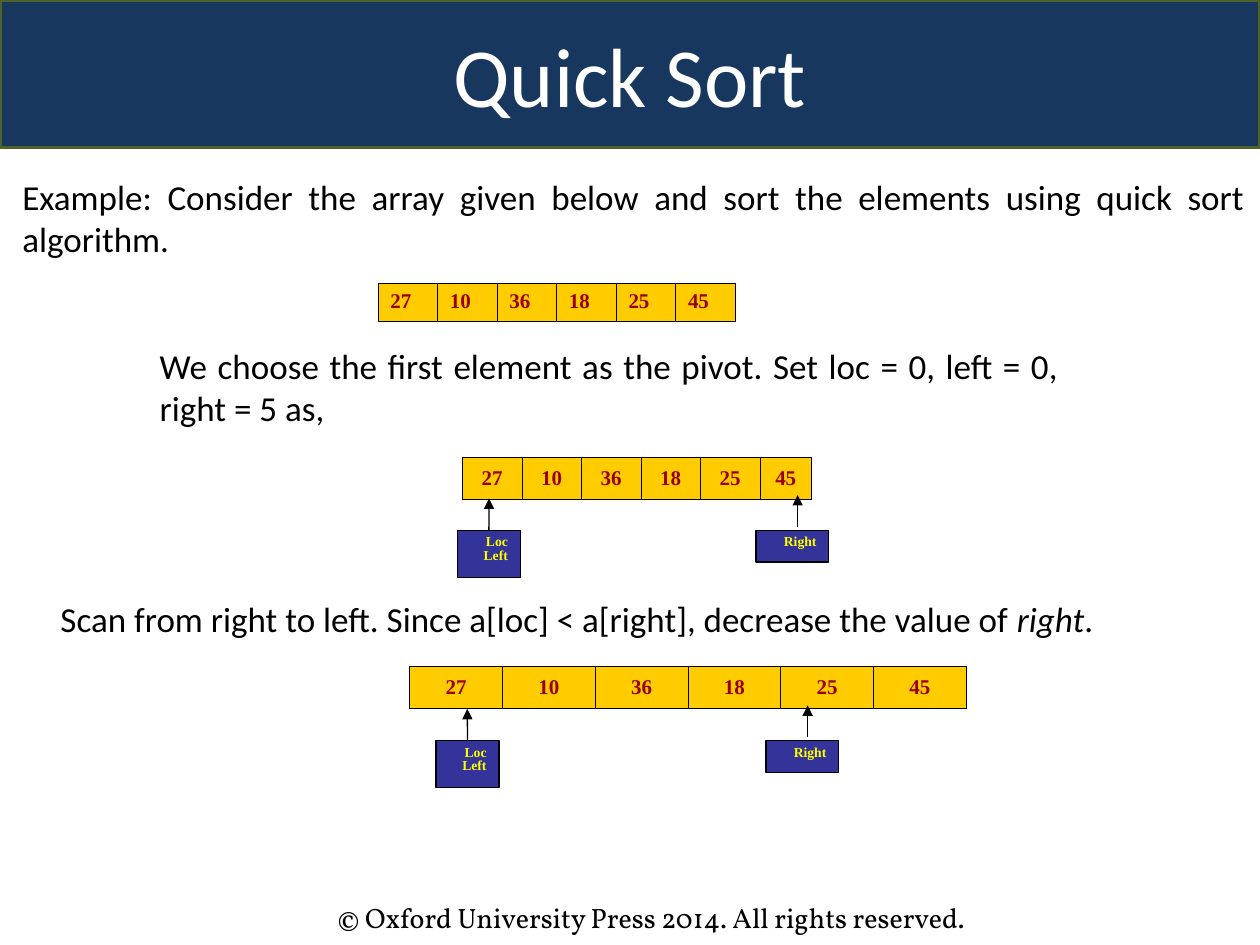
from lxml import etree
from pptx import Presentation
from pptx.dml.color import RGBColor
from pptx.enum.shapes import MSO_CONNECTOR, MSO_SHAPE
from pptx.enum.text import MSO_ANCHOR, MSO_AUTO_SIZE, PP_ALIGN
from pptx.oxml import parse_xml
from pptx.oxml.ns import nsdecls, qn
from pptx.util import Cm, Pt

LEFT, CENTER, RIGHT, JUSTIFY = PP_ALIGN.LEFT, PP_ALIGN.CENTER, PP_ALIGN.RIGHT, PP_ALIGN.JUSTIFY
TOP, MIDDLE = MSO_ANCHOR.TOP, MSO_ANCHOR.MIDDLE
RECTANGLE, STRAIGHT = MSO_SHAPE.RECTANGLE, MSO_CONNECTOR.STRAIGHT
NO_AUTOFIT = MSO_AUTO_SIZE.NONE

TITLE = {"name": "Calibri", "size": Pt(48)}
PROSE = {"name": "Calibri", "size": Pt(20)}
COPYRIGHT = {"name": "Vollkorn", "size": Pt(16)}
ELEMENT = {"name": "Times New Roman", "size": Pt(12), "bold": True}
MARKER = {"name": "Times New Roman", "size": Pt(7.8), "bold": True}


def rgb(value):
    return RGBColor.from_string(value)


def write(paragraph, text, font_format, color, align):
    paragraph.alignment = align
    run = paragraph.add_run()
    run.text = text
    for attribute, value in font_format.items():
        setattr(run.font, attribute, value)
    run.font.color.rgb = rgb(color)


presentation = Presentation()
presentation.slide_width, presentation.slide_height = Cm(25.4), Cm(19.05)
slide = presentation.slides.add_slide(presentation.slide_layouts[5])
shapes = slide.shapes

title = shapes.title
title.left, title.top, title.width, title.height = Cm(0), Cm(0), Cm(25.4), Cm(2.97)
title.fill.solid()
title.fill.fore_color.rgb = rgb("17375E")
title.line.color.rgb = rgb("4F6228")
title.line.width = Pt(2)
title.text_frame.auto_size = NO_AUTOFIT
title.text_frame.vertical_anchor = MIDDLE
write(title.text_frame.paragraphs[0], "Quick Sort", TITLE, "FFFFFF", CENTER)

statements = [
    (0.2, 3.4, 25.15, 1.96, True, MIDDLE, JUSTIFY, PROSE,
     ["Example: Consider the array given below and sort the elements using quick sort algorithm."]),
    (2.97, 6.81, 18.62, 1.96, True, MIDDLE, JUSTIFY, PROSE,
     ["We choose the first element as the pivot. Set loc = 0, left = 0, right = 5 as,"]),
    (0.97, 11.91, 21.39, 1.12, False, MIDDLE, JUSTIFY, PROSE,
     ["Scan from right to left. Since a[loc] < a[right], decrease the value of ", "right", "."]),
    (6.55, 18.03, 15.04, 0.94, True, TOP, LEFT, COPYRIGHT,
     ["© Oxford University Press 2014. All rights reserved."]),
]
for left, top, width, height, wrap, anchor, align, font_format, parts in statements:
    frame = shapes.add_textbox(Cm(left), Cm(top), Cm(width), Cm(height)).text_frame
    frame.word_wrap = wrap
    frame.vertical_anchor = anchor
    for part in parts:
        emphasis = {"italic": True} if part == "right" else {}
        write(frame.paragraphs[0], part, font_format | emphasis, "000000", align)

elements = [27, 10, 36, 18, 25, 45]
arrays = [
    (7.62, 5.72, 0.76, [1.2] * 6, 0.25, TOP, JUSTIFY),
    (9.32, 9.22, 0.84, [1.2] * 5 + [1.04], 0, MIDDLE, CENTER),
    (8.26, 13.44, 0.84, [1.87] * 6, 0.25, MIDDLE, CENTER),
]
for left, top, height, column_widths, margin, anchor, align in arrays:
    array = shapes.add_table(1, len(elements), Cm(left), Cm(top),
                             Cm(sum(column_widths)), Cm(height)).table
    array.first_row = array.horz_banding = False
    for index, (element, width) in enumerate(zip(elements, column_widths)):
        array.columns[index].width = Cm(width)
        cell = array.cell(0, index)
        cell.margin_left = cell.margin_right = Cm(margin)
        cell.vertical_anchor = anchor
        write(cell.text_frame.paragraphs[0], str(element), ELEMENT, "990000", align)
        for side in ("lnL", "lnR", "lnT", "lnB"):
            cell._tc.get_or_add_tcPr().append(parse_xml(
                f'<a:{side} {nsdecls("a")} w="5715"><a:solidFill>'
                f'<a:srgbClr val="000000"/></a:solidFill></a:{side}>'))
        cell.fill.solid()
        cell.fill.fore_color.rgb = rgb("FFCC00")

markers = [
    (["Loc", "Left"], 9.22, 10.69, 1.27, 0.96, 9.86, 10.69, True),
    (["Right"], 15.24, 10.69, 1.47, 0.64, 16.08, 10.62, False),
    (["Loc", "Left"], 8.79, 14.93, 1.27, 0.95, 9.42, 14.93, True),
    (["Right"], 15.44, 14.93, 1.47, 0.64, 16.28, 14.86, False),
]
for labels, left, top, width, height, arrow_x, arrow_y, centered in markers:
    marker = shapes.add_shape(RECTANGLE, Cm(left), Cm(top), Cm(width), Cm(height))
    marker.shadow.inherit = False
    marker.fill.solid()
    marker.fill.fore_color.rgb = rgb("333399")
    marker.line.color.rgb = rgb("000000")
    marker.line.width = Pt(0.75)
    frame = marker.text_frame
    frame.word_wrap = True
    frame.vertical_anchor = TOP
    for index, label in enumerate(labels):
        paragraph = frame.add_paragraph() if index else frame.paragraphs[0]
        paragraph.line_spacing = 0.8
        write(paragraph, label, MARKER, "FFFF00", RIGHT)

    arrow = shapes.add_connector(STRAIGHT, Cm(arrow_x), Cm(arrow_y),
                                 Cm(arrow_x), Cm(arrow_y - 0.64))
    if centered:
        arrow.begin_connect(marker, 0)
    arrow.line.color.rgb = rgb("000000")
    arrow.line.width = Pt(0.75)
    etree.SubElement(arrow.line._get_or_add_ln(), qn("a:tailEnd"), type="triangle")
    etree.SubElement(arrow._element.spPr, qn("a:effectLst"))

presentation.save("out.pptx")
